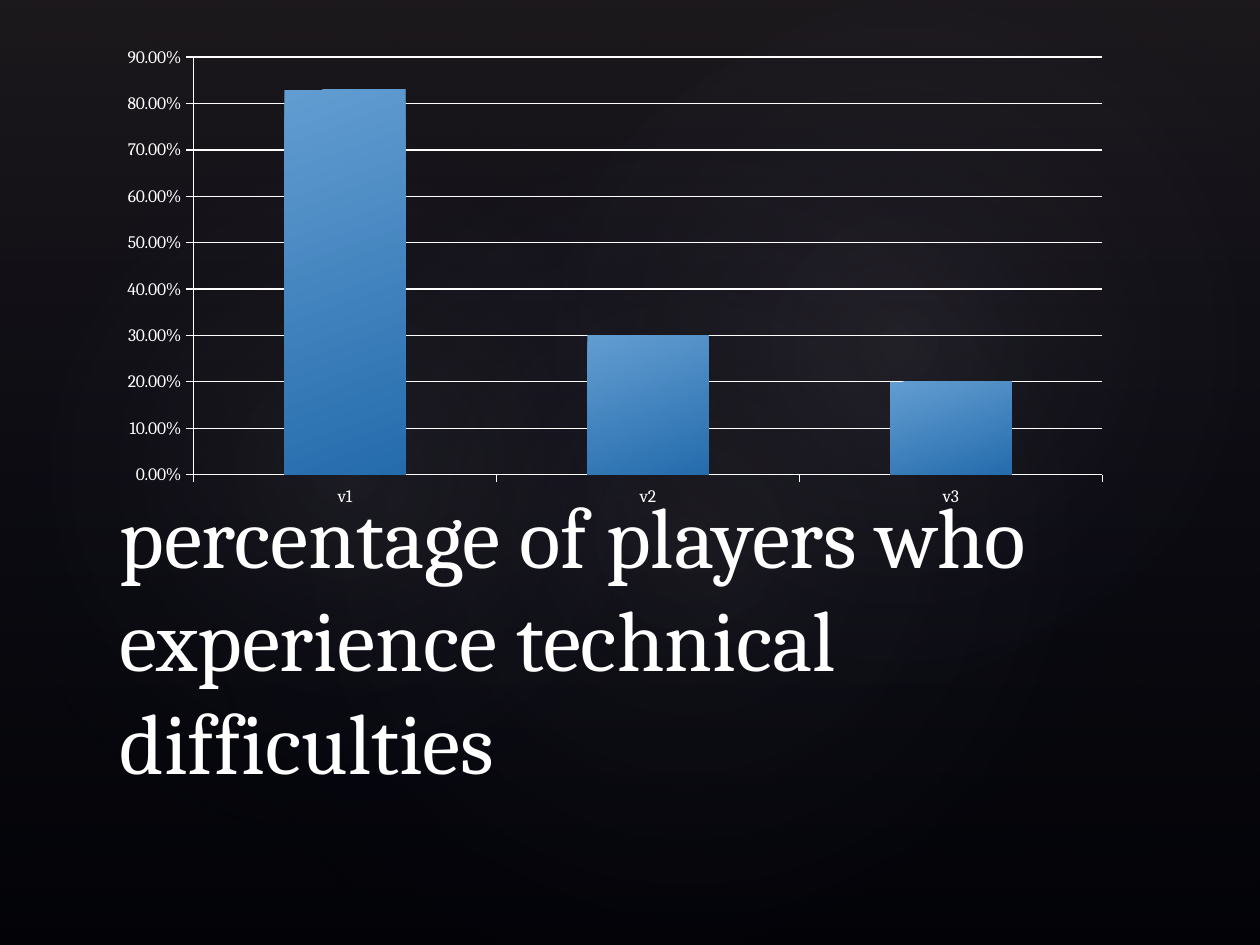
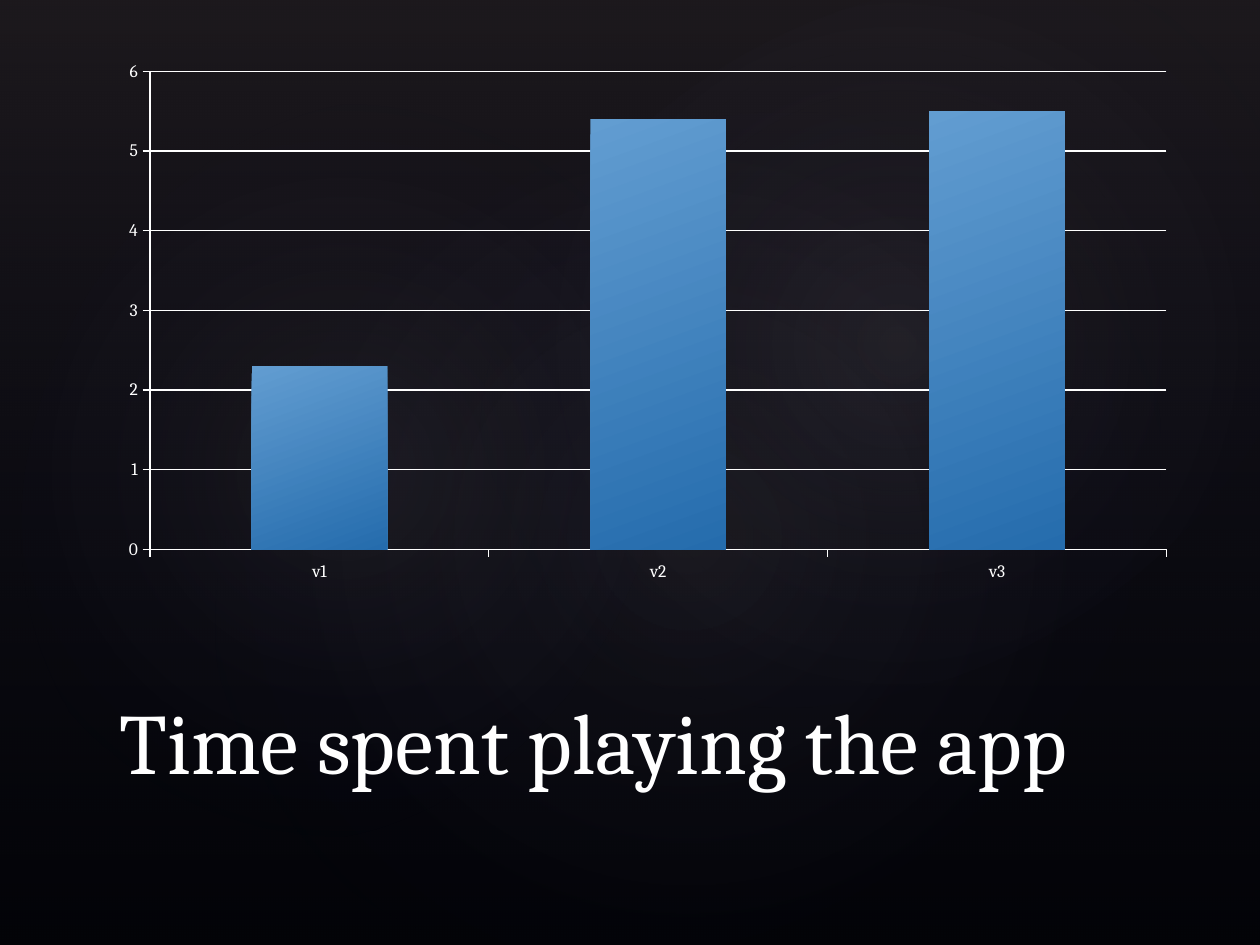
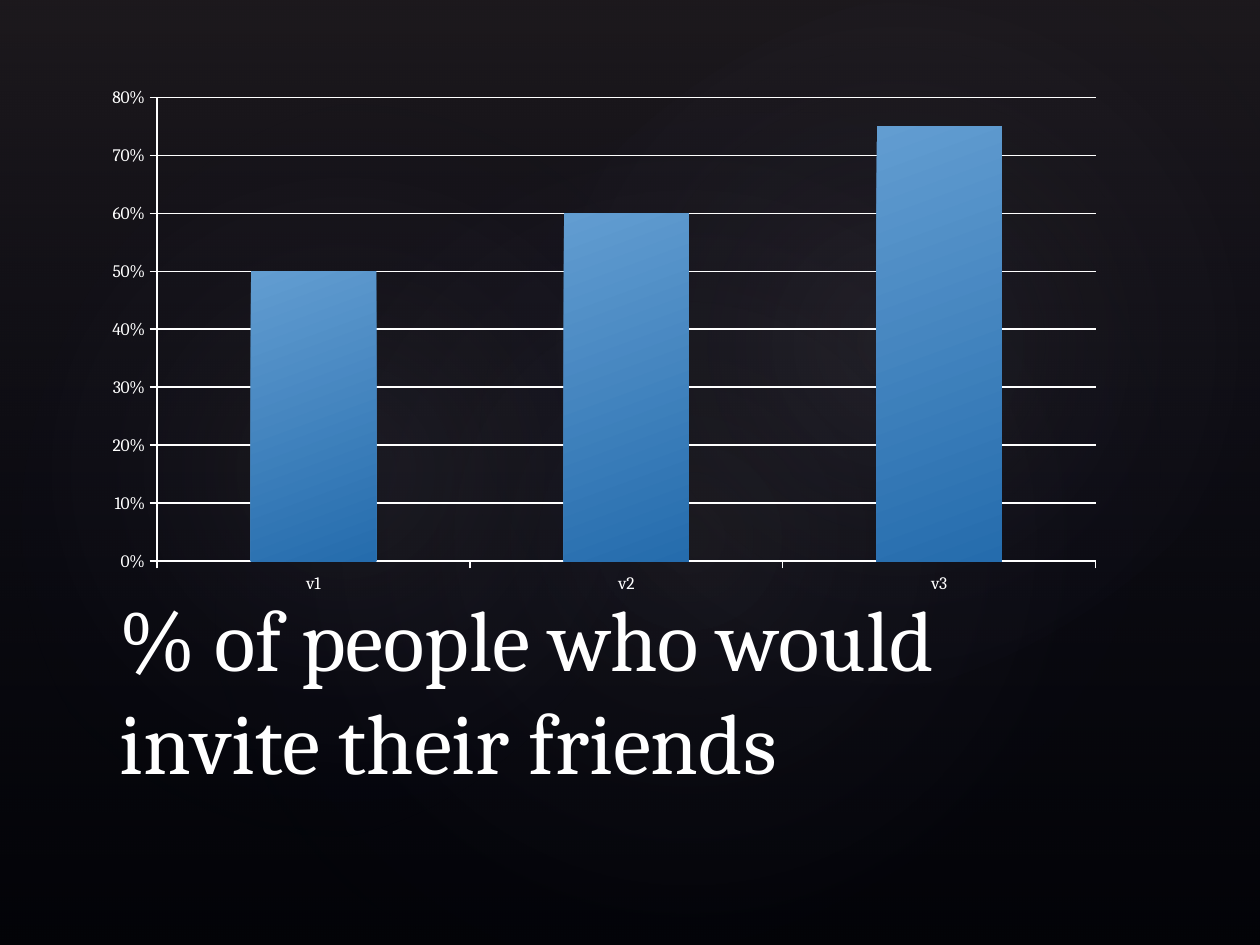
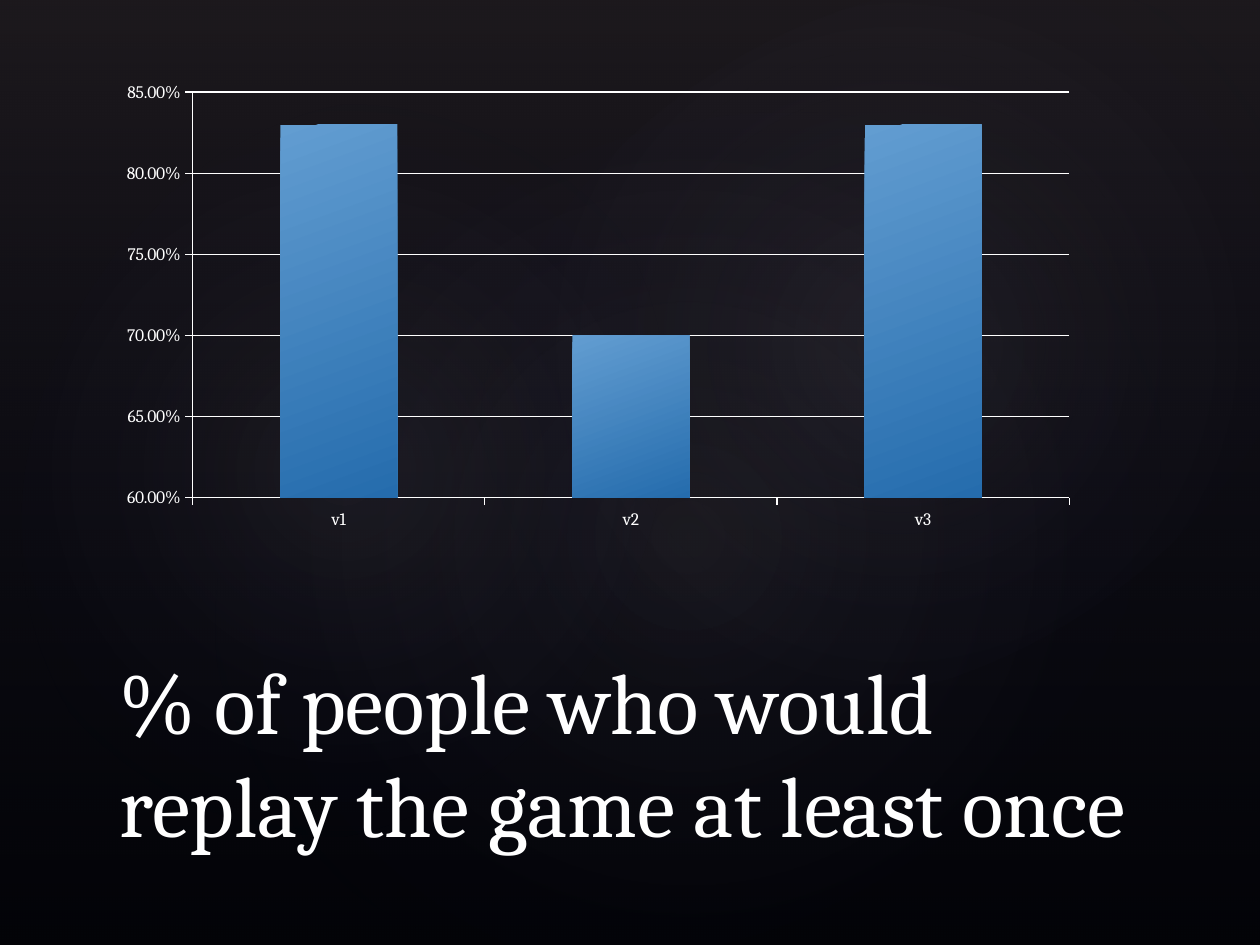
import pptx
import pptx.chart.data
import pptx.dml.color
import pptx.enum.chart
import pptx.enum.shapes
import pptx.enum.text
import pptx.oxml
import pptx.oxml.ns
import pptx.util

Cm = pptx.util.Cm
Pt = pptx.util.Pt
RGBColor = pptx.dml.color.RGBColor
SHAPE = pptx.enum.shapes.MSO_SHAPE

BLACK = RGBColor(0x00, 0x00, 0x00)
WHITE = RGBColor(0xFF, 0xFF, 0xFF)
PLUM = RGBColor(0x50, 0x46, 0x52)
NAVY = RGBColor(0x24, 0x28, 0x52)
GLOW = RGBColor(0xC4, 0xBC, 0xC6)
LIGHT_BLUE = RGBColor(0x62, 0x9D, 0xD1)
DEEP_BLUE = RGBColor(0x25, 0x6C, 0xAD)
FONT = "Cambria"

WIDTH, HEIGHT = 25.4, 19.05
LINEAR = '<a:lin ang="{}" scaled="0"/>'
RADIAL = ('<a:path path="circle"><a:fillToRect l="50000" t="50000" '
          'r="50000" b="50000"/></a:path>')
GLOWS = [
    ((3.81, 2.9, 20.12, 15.85), 328.7, 7),
    ((-0.76, 3.25, 15.39, 12.45), 294.3, 8),
    ((9.09, 0.33, 18.01, 13.21), 328.7, 8),
]
VERSIONS = ["v1", "v2", "v3"]
SLIDES = [
    dict(title="percentage of players who experience technical difficulties",
         title_top=13.54, box=(2.16, 0.76, 20.47, 9.65),
         values=(0.83, 0.3, 0.2), scale=(0, 0.9, 0.1), number_format="0.00%"),
    dict(title="Time spent playing the app",
         title_top=13.54, box=(2.16, 1.02, 21.79, 10.92),
         values=(2.3, 5.4, 5.5), scale=(0, 6, 1), number_format="General"),
    dict(title="% of people who would invite their friends",
         title_top=13.54, box=(1.85, 1.55, 20.65, 10.62),
         values=(0.5, 0.6, 0.75), scale=(0, 0.8, 0.1), number_format="0%"),
    dict(title="% of people who would replay the game at least once",
         title_top=14.81, box=(2.16, 1.47, 19.79, 9.4),
         values=(0.83, 0.7, 0.83), scale=(0.6, 0.85, 0.05), number_format="0.00%"),
]


def lengths(box):
    return [Cm(v) for v in box]


def format_font(font, size, color=WHITE, name=FONT):
    font.size = Pt(size)
    font.name = name
    font.color.rgb = color


def add_text(tf, text, size, color=WHITE, anchor=pptx.enum.text.MSO_ANCHOR.BOTTOM):
    tf.word_wrap = True
    tf.vertical_anchor = anchor
    r = tf.paragraphs[0].add_run()
    r.text = text
    format_font(r.font, size, color)


def gradient(fill, spPr, stops, angle=None):
    fill.background()
    direction = RADIAL if angle is None else LINEAR.format(angle * 60000)
    marks = "".join(
        f'<a:gs pos="{pos * 1000}"><a:srgbClr val="{color}">'
        f'<a:alpha val="{alpha * 1000}"/></a:srgbClr></a:gs>'
        for pos, color, alpha in stops)
    xml = (f'<a:gradFill {pptx.oxml.ns.nsdecls("a")} rotWithShape="1">'
           f'<a:gsLst>{marks}</a:gsLst>{direction}</a:gradFill>')
    spPr.replace(spPr.find(pptx.oxml.ns.qn("a:noFill")), pptx.oxml.parse_xml(xml))


class Deck:
    def __init__(self):
        self.prs = pptx.Presentation()
        self.prs.slide_width = Cm(WIDTH)
        self.prs.slide_height = Cm(HEIGHT)
        self.s = None

    def slide(self):
        self.s = self.prs.slides.add_slide(self.prs.slide_layouts[6])
        fill = self.s.background.fill
        fill.solid()
        fill.fore_color.rgb = BLACK
        self.shade(SHAPE.RECTANGLE, (0, 0, WIDTH, HEIGHT),
                   [(0, PLUM, 36), (100, NAVY, 10)], angle=90)
        for box, rotation, alpha in GLOWS:
            self.shade(SHAPE.OVAL, box, [(0, GLOW, alpha), (58, NAVY, 0)], rotation)

    def shade(self, kind, box, stops, rotation=0, angle=None):
        sp = self.s.shapes.add_shape(kind, *lengths(box))
        sp.shadow.inherit = False
        sp.line.fill.background()
        sp.rotation = rotation
        gradient(sp.fill, sp._element.spPr, stops, angle)

    def title(self, text, top):
        sp = self.s.shapes.add_textbox(*lengths((2.16, top, 20.96, 2.54)))
        add_text(sp.text_frame, text, 49)

    def chart(self, box, values, scale, number_format):
        data = pptx.chart.data.CategoryChartData(number_format=number_format)
        data.categories = VERSIONS
        data.add_series("Series 1", values)
        chart = self.s.shapes.add_chart(
            pptx.enum.chart.XL_CHART_TYPE.COLUMN_CLUSTERED, *lengths(box), data).chart
        chart.has_legend = False
        chart.has_title = False
        format_font(chart.font, 10)
        plot = chart.plots[0]
        plot.gap_width = 150
        plot.vary_by_categories = False
        series = plot.series[0]
        series.invert_if_negative = False
        gradient(series.format.fill, series._element.get_or_add_spPr(),
                 [(0, LIGHT_BLUE, 100), (100, DEEP_BLUE, 100)], angle=70)
        axis = chart.value_axis
        axis.minimum_scale, axis.maximum_scale, axis.major_unit = scale
        axis.has_major_gridlines = True
        axis.tick_labels.number_format = number_format
        axis.tick_labels.number_format_is_linked = False
        for ax in (axis, chart.category_axis):
            ax.major_tick_mark = pptx.enum.chart.XL_TICK_MARK.OUTSIDE
        for part in (axis, chart.category_axis, axis.major_gridlines):
            part.format.line.color.rgb = WHITE
            part.format.line.width = Pt(0.75)


def main():
    deck = Deck()
    for item in SLIDES:
        deck.slide()
        deck.title(item["title"], item["title_top"])
        deck.chart(item["box"], item["values"], item["scale"], item["number_format"])
    deck.prs.save("out.pptx")


if __name__ == "__main__":
    main()
